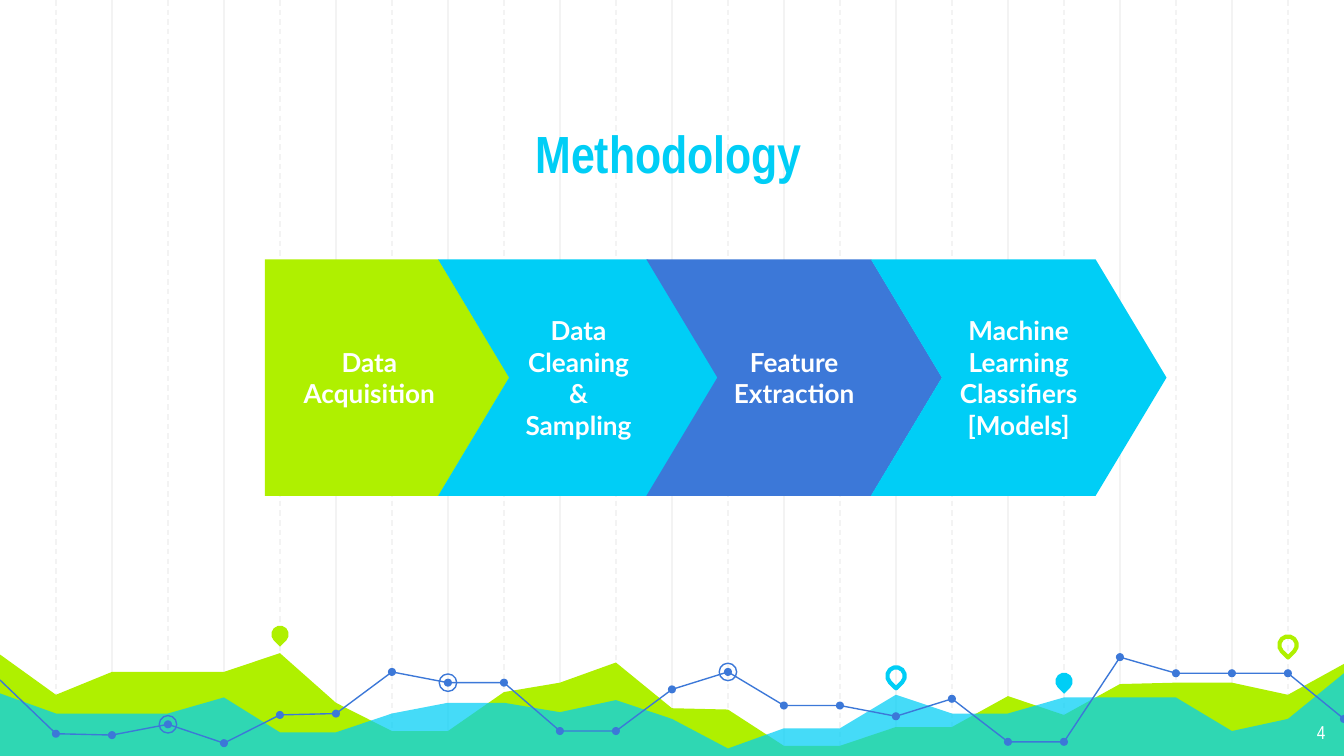
"""Build the Methodology slide: a chevron process above a stylised line and area chart."""
import pptx
import pptx.dml.color
import pptx.enum.dml
import pptx.enum.shapes
import pptx.enum.text
import pptx.oxml.ns
import pptx.util
from lxml import etree

RGB = pptx.dml.color.RGBColor
SHAPE = pptx.enum.shapes.MSO_SHAPE
ALIGN = pptx.enum.text.PP_ALIGN
ANCHOR = pptx.enum.text.MSO_ANCHOR
Inches, Pt = pptx.util.Inches, pptx.util.Pt

LIME = RGB(0xAF, 0xF0, 0x00)
CYAN = RGB(0x00, 0xCE, 0xF6)
BLUE = RGB(0x3C, 0x78, 0xD8)
GREY = RGB(0xF3, 0xF3, 0xF3)
WHITE = RGB(0xFF, 0xFF, 0xFF)

WIDTH, HEIGHT, COLUMNS = 10, 5.625, 24
COL = WIDTH / COLUMNS

LIME_AREA = [4.87, 5.17, 5, 5, 5, 4.86, 5.23, 5.44, 5.44, 5.15, 5.08, 4.93, 5.27,
             5.28, 5.55, 5.55, 5.41, 5.41, 5.18, 5.32, 5.09, 5.08, 5.08, 5.17, 4.94]
CYAN_AREA = [5.16, 5.31, 5.31, 5.31, 5.19, 5.45, 5.45, 5.31, 5.23, 5.23, 5.3, 5.21, 5.35,
             5.57, 5.42, 5.42, 5.17, 5.31, 5.31, 5.19, 5.19, 5.19, 5.44, 5.35, 5.01]
TREND = [5.06, 5.46, 5.47, 5.39, 5.53, 5.32, 5.31, 5, 5.08, 5.08, 5.44, 5.44, 5.13,
         5, 5.25, 5.25, 5.33, 5.2, 5.52, 5.52, 4.89, 5.01, 5.01, 5.01, 5.35]
TREND_BREAKS = [0, 11, 20, 24]
RINGED = [3, 8, 13]
PINS = [(5, 4.72, LIME, True), (16, 5.03, CYAN, False),
        (19, 5.07, CYAN, True), (23, 4.8, LIME, False)]
STEPS = [
    (SHAPE.PENTAGON, 1.97, 1.82, LIME, ["Data Acquisition"]),
    (SHAPE.CHEVRON, 3.26, 2.09, CYAN, ["Data Cleaning & Sampling"]),
    (SHAPE.CHEVRON, 4.81, 2.2, BLUE, ["Feature Extraction"]),
    (SHAPE.CHEVRON, 6.48, 2.2, CYAN, ["Machine Learning Classifiers", "[Models]"]),
]


def set_all(target, values):
    """Set each named attribute of target."""
    for name, value in values.items():
        setattr(target, name, value)


def paint(sp, fill=None, line=None, width=0.75):
    """Give a shape its fill and outline, without shadow."""
    sp.shadow.inherit = False
    for part, color in ((sp.fill, fill), (sp.line.fill, line)):
        if color is None:
            part.background()
        else:
            part.solid()
            part.fore_color.rgb = color
    if line is not None:
        sp.line.width = Pt(width)


def add_preset(s, kind, x, y, w, h, **look):
    """Add a painted preset shape."""
    sp = s.shapes.add_shape(kind, *map(Inches, (x, y, w, h)))
    paint(sp, **look)
    return sp


def add_path(s, points, close, **look):
    """Add a painted freeform through the points."""
    pts = [(Inches(x), Inches(y)) for x, y in points]
    builder = s.shapes.build_freeform(*pts[0])
    builder.add_line_segments(pts[1:], close=close)
    sp = builder.convert_to_shape()
    paint(sp, **look)
    return sp


def write(sp, texts, align, anchor, **font):
    """Fill a shape with one paragraph per text."""
    tf = sp.text_frame
    margins = {f"margin_{side}": Inches(0.1) for side in ("left", "right", "top", "bottom")}
    set_all(tf, {"word_wrap": True, "vertical_anchor": anchor, **margins})
    for i, text in enumerate(texts):
        p = tf.add_paragraph() if i else tf.paragraphs[0]
        p.alignment = align
        r = p.add_run()
        r.text = text
        color = font["color"]
        set_all(r.font, {k: v for k, v in font.items() if k != "color"})
        r.font.color.rgb = color


def add_text(s, x, y, w, h, text, align, anchor, **font):
    """Add a text box with a single line."""
    sp = s.shapes.add_textbox(*map(Inches, (x, y, w, h)))
    write(sp, [text], align, anchor, **font)


def add_gridline(s, column):
    """Add a vertical line, dashed on odd columns."""
    x = Inches(column * COL)
    sp = s.shapes.add_connector(pptx.enum.shapes.MSO_CONNECTOR.STRAIGHT, x, 0, x, Inches(HEIGHT))
    sp.line.color.rgb = GREY
    sp.line.width = Pt(0.75)
    if column % 2:
        sp.line.dash_style = pptx.enum.dml.MSO_LINE.DASH
    etree.SubElement(sp._element.spPr, pptx.oxml.ns.qn("a:effectLst"))


def add_area(s, heights, color, opacity=100):
    """Add a filled area from the column heights to the slide's bottom."""
    points = [(i * COL, y) for i, y in enumerate(heights)]
    sp = add_path(s, points + [(WIDTH, HEIGHT), (0, HEIGHT)], True, fill=color)
    if opacity < 100:
        clr = sp._element.spPr.find(".//" + pptx.oxml.ns.qn("a:srgbClr"))
        etree.SubElement(clr, pptx.oxml.ns.qn("a:alpha"), val=str(opacity * 1000))


def add_circle(s, column, size, **look):
    """Add a circle centred on a trend point."""
    x, y = column * COL - size / 2, TREND[column] - size / 2
    add_preset(s, SHAPE.OVAL, x, y, size, size, **look)


def add_pin(s, column, y, color, solid):
    """Add a map pin, solid or outlined."""
    look = {"fill": color} if solid else {"line": color, "width": 2.25}
    sp = add_preset(s, SHAPE.TEAR, column * COL - 0.065, y - 0.065, 0.13, 0.13, **look)
    sp.rotation = 135


def add_trend(s):
    """Add the trend line with its dots and rings."""
    for first, last in zip(TREND_BREAKS, TREND_BREAKS[1:]):
        add_path(s, [(i * COL, TREND[i]) for i in range(first, last + 1)], False, line=BLUE)
    for column in range(1, COLUMNS + 1):
        add_circle(s, column, 0.06, fill=BLUE)
    for column in RINGED:
        add_circle(s, column, 0.13, line=BLUE)


def add_step(s, kind, x, w, color, texts):
    """Add one arrow of the process."""
    sp = add_preset(s, kind, x, 1.93, w, 1.76, fill=color)
    sp.adjustments[0] = 0.3
    write(sp, texts, ALIGN.CENTER, ANCHOR.MIDDLE,
          name="Lato", size=Pt(14), bold=True, color=WHITE)


def main():
    """Build and save the slide."""
    prs = pptx.Presentation()
    set_all(prs, {"slide_width": Inches(WIDTH), "slide_height": Inches(HEIGHT)})
    s = prs.slides.add_slide(prs.slide_layouts[6])
    for column in range(1, COLUMNS):
        add_gridline(s, column)
    add_area(s, LIME_AREA, LIME)
    add_area(s, CYAN_AREA, CYAN, opacity=73)
    add_trend(s)
    for pin in PINS:
        add_pin(s, *pin)
    add_text(s, 1.15, 0.69, 7.65, 0.78, "Methodology", ALIGN.CENTER, ANCHOR.BOTTOM,
             name="Arial Narrow", size=Pt(28), bold=True, color=CYAN)
    for step in STEPS:
        add_step(s, *step)
    add_text(s, 9.36, 5.28, 0.6, 0.35, "4", ALIGN.RIGHT, ANCHOR.TOP,
             name="Arial Narrow", size=Pt(10), color=WHITE)
    prs.save("out.pptx")


if __name__ == "__main__":
    main()
